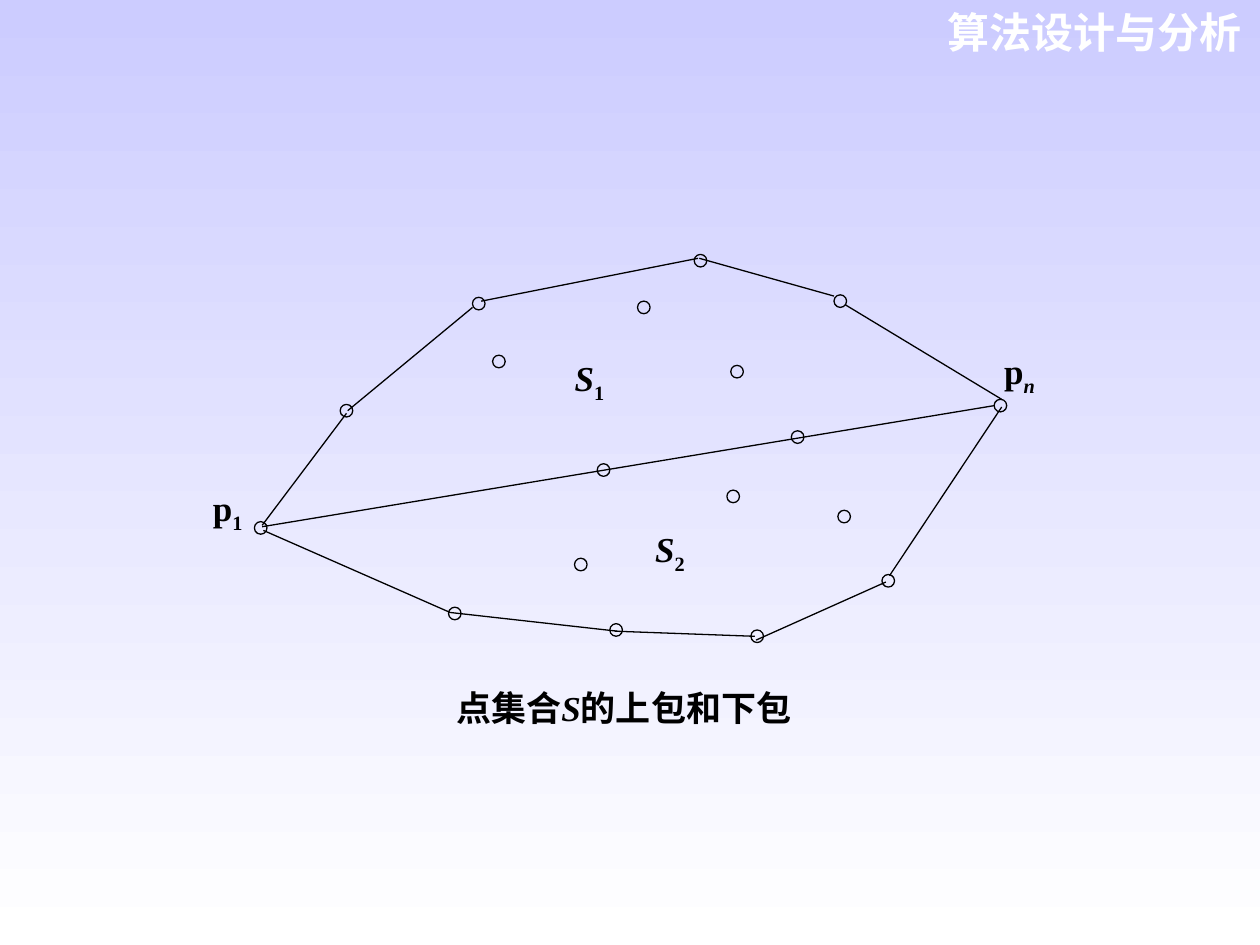
from lxml import etree
from pptx import Presentation
from pptx.dml.color import RGBColor
from pptx.enum.shapes import MSO_CONNECTOR, MSO_SHAPE
from pptx.enum.text import PP_ALIGN
from pptx.oxml.ns import qn
from pptx.util import Pt

BLACK = RGBColor(0x00, 0x00, 0x00)
WHITE = RGBColor(0xFF, 0xFF, 0xFF)
LAVENDER = RGBColor(0xCC, 0xCC, 0xFF)
STRAIGHT, OVAL = MSO_CONNECTOR.STRAIGHT, MSO_SHAPE.OVAL
RIGHT, JUSTIFY = PP_ALIGN.RIGHT, PP_ALIGN.JUSTIFY

DIAMETER = 7.2
LINE_WIDTH = 0.75

# Centres of the points, in points of length
HULL_POINTS = [
    (149, 301.7), (198, 234.7), (273.6, 173.5), (400.3, 149), (480.2, 172.1),
    (571.7, 231.8), (507.6, 331.9), (432.7, 363.6), (352.1, 360), (259.9, 350.6),
]
INNER_POINTS = [
    (285.1, 206.6), (367.9, 175.7), (421.2, 212.4), (344.9, 268.6),
    (455.8, 249.8), (419, 283.7), (331.9, 322.6), (482.4, 295.2),
]

# Each line: start x, start y, end x, end y
DIVIDING_LINE = (149.8, 301, 568.1, 231.8)
UPPER_HULL = [
    (149.8, 300.2, 198, 236.2), (198.7, 234.7, 270, 175.7),
    (275, 172.1, 398.9, 147.6), (399.6, 147.6, 476.6, 169.2),
    (483.1, 174.2, 572.4, 228.2),
]
LOWER_HULL = [
    (257, 349.9, 150.5, 303.1), (352.8, 360.7, 256.3, 349.9),
    (431.3, 363.6, 351.4, 360.7), (506.2, 332.6, 432, 365.8),
    (572.4, 232.6, 508.3, 329),
]

# Each label: box, runs of (text, style), line spacing;
# style letters: i = italic, s = subscript
LABELS = [
    ((121.7, 280.8, 18.7, 23.8), [("p", ""), ("1", "s")], 0.8),
    ((573.8, 202.3, 18.7, 23.8), [("p", ""), ("n", "is")], 0.8),
    ((328.3, 203.8, 25.2, 30.2), [("S", "i"), ("1", "s")], 1),
    ((374.4, 301.7, 25.2, 30.2), [("S", "i"), ("2", "s")], 1),
]
CAPTION = [("点集合", ""), ("S", "i"), ("的上包和下包", "")]
HEADER = [("算法设计与分析", "")]


def add_text(slide, box, runs, size=20, font="Times New Roman", color=BLACK,
             align=JUSTIFY, spacing=1, insets=(0, 0, 0, 0)):
    """Insets are left, top, right, bottom."""
    frame = slide.shapes.add_textbox(*map(Pt, box)).text_frame
    frame.word_wrap = True
    (frame.margin_left, frame.margin_top,
     frame.margin_right, frame.margin_bottom) = map(Pt, insets)
    paragraph = frame.paragraphs[0]
    paragraph.alignment = align
    paragraph.line_spacing = float(spacing)
    for text, style in runs:
        run = paragraph.add_run()
        run.text = text
        run.font.size = Pt(size)
        run.font.name = font
        run.font.bold = True
        run.font.italic = "i" in style
        run.font.color.rgb = color
        if "s" in style:
            run.font._element.set("baseline", "-25000")


def add_line(slide, ends):
    line = slide.shapes.add_connector(STRAIGHT, *map(Pt, ends))
    line.line.color.rgb = BLACK
    line.line.width = Pt(LINE_WIDTH)
    etree.SubElement(line._element.spPr, qn("a:effectLst"))


def add_point(slide, x, y):
    radius = DIAMETER / 2
    circle = slide.shapes.add_shape(
        OVAL, Pt(x - radius), Pt(y - radius), Pt(DIAMETER), Pt(DIAMETER))
    circle.shadow.inherit = False
    circle.fill.background()
    circle.line.color.rgb = BLACK
    circle.line.width = Pt(LINE_WIDTH)


def main():
    presentation = Presentation()
    presentation.slide_width, presentation.slide_height = Pt(720), Pt(540)
    slide = presentation.slides.add_slide(presentation.slide_layouts[6])

    background = slide.background.fill
    background.gradient()
    background.gradient_angle = 270
    for stop, color, position in zip(background.gradient_stops, (LAVENDER, WHITE), (0, 1)):
        stop.color.rgb = color
        stop.position = position

    add_text(slide, (521.3, 0, 195.1, 36), HEADER, size=24, font="Arial",
             color=WHITE, align=RIGHT, insets=(7.2, 3.6, 7.2, 3.6))
    for ends in [DIVIDING_LINE] + UPPER_HULL + LOWER_HULL:
        add_line(slide, ends)
    for x, y in HULL_POINTS + INNER_POINTS:
        add_point(slide, x, y)
    for box, runs, spacing in LABELS:
        add_text(slide, box, runs, spacing=spacing)
    add_text(slide, (234.7, 392.4, 281.5, 34.6), CAPTION, insets=(26, 0, 0, 0))

    presentation.save("out.pptx")


if __name__ == "__main__":
    main()
